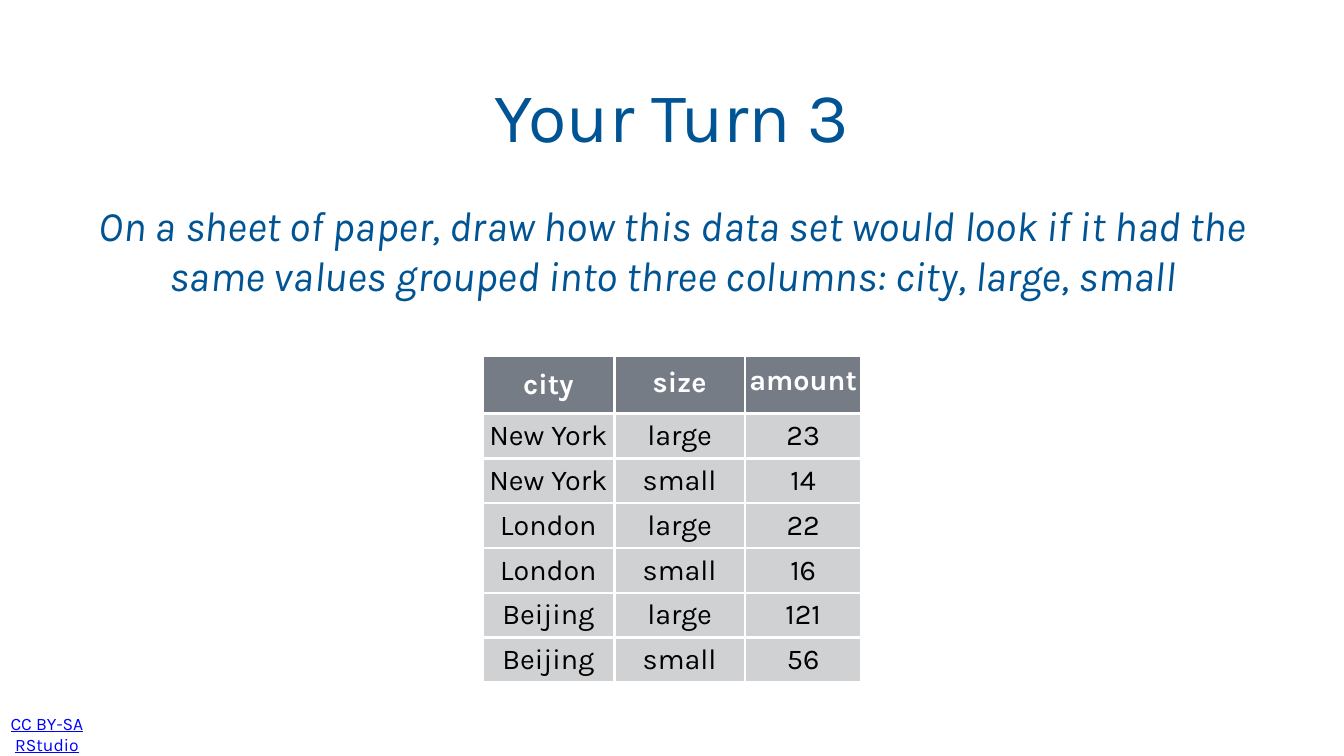
from dataclasses import dataclass

from lxml.etree import SubElement
from pptx import Presentation
from pptx.dml.color import RGBColor
from pptx.enum.text import MSO_ANCHOR, MSO_AUTO_SIZE, PP_ALIGN
from pptx.oxml.ns import qn
from pptx.util import Emu, Pt

EMU_PER_PX = 12700


def px(length):
    return Emu(length * EMU_PER_PX)


@dataclass(frozen=True)
class Theme:
    font: str = "Karla"
    blue: str = "005493"
    link: str = "0000FF"
    white: str = "FFFFFF"
    black: str = "000000"
    header: str = "767C85"
    body: str = "D0D1D2"
    title_size: int = 100
    prompt_size: int = 60
    table_size: int = 41
    licence_size: int = 25
    inset: int = 6
    cell_inset: int = 4
    border: int = 4


def set_attributes(target, values):
    for name, value in values.items():
        setattr(target, name, value)


class SlideBuilder:
    def __init__(self, slide, theme):
        self.slide = slide
        self.theme = theme

    def format_text(self, frame, text, size, color, line_spacing=1.0, **font_values):
        frame.text = text
        paragraph = frame.paragraphs[0]
        set_attributes(paragraph, {
            "alignment": PP_ALIGN.CENTER, "line_spacing": line_spacing})
        for run in paragraph.runs:
            set_attributes(run.font, {
                "name": self.theme.font, "size": Pt(size), **font_values})
            run.font.color.rgb = RGBColor.from_string(color)

    def format_frame(self, frame, anchor, wrap=True, top_inset=None):
        inset = px(self.theme.inset)
        set_attributes(frame, {
            "auto_size": MSO_AUTO_SIZE.NONE,
            "word_wrap": wrap,
            "vertical_anchor": anchor,
            "margin_left": inset,
            "margin_right": inset,
            "margin_top": inset if top_inset is None else px(top_inset),
            "margin_bottom": inset,
        })

    def title(self, text, left, top, width, height):
        shape = self.slide.shapes.title
        set_attributes(shape, {
            "left": px(left), "top": px(top),
            "width": px(width), "height": px(height)})
        self.format_frame(shape.text_frame, MSO_ANCHOR.MIDDLE)
        self.format_text(shape.text_frame, text, self.theme.title_size, self.theme.blue)

    def text_box(self, text, left, top, width, height, size, color,
                 anchor=MSO_ANCHOR.TOP, wrap=True, top_inset=None, **font_values):
        shape = self.slide.shapes.add_textbox(px(left), px(top), px(width), px(height))
        self.format_frame(shape.text_frame, anchor, wrap, top_inset)
        self.format_text(shape.text_frame, text, size, color, **font_values)

    def cell_borders(self, cell):
        properties = cell._tc.get_or_add_tcPr()
        for index, side in enumerate(("a:lnL", "a:lnR", "a:lnT", "a:lnB")):
            line = SubElement(properties, qn(side), w=str(px(self.theme.border)))
            fill = SubElement(line, qn("a:solidFill"))
            SubElement(fill, qn("a:srgbClr"), val=self.theme.white)
            properties.insert(index, line)

    def table(self, rows, left, top, column_widths, header_height, row_height,
              header_spacing):
        theme = self.theme
        heights = [header_height] + [row_height] * (len(rows) - 1)
        table = self.slide.shapes.add_table(
            len(rows), len(column_widths), px(left), px(top),
            px(sum(column_widths)), px(sum(heights))).table
        for column, width in zip(table.columns, column_widths):
            column.width = px(width)
        margins = ("margin_left", "margin_right", "margin_top", "margin_bottom")
        for row_index, values in enumerate(rows):
            table.rows[row_index].height = px(heights[row_index])
            is_header = row_index == 0
            for column_index, value in enumerate(values):
                cell = table.cell(row_index, column_index)
                set_attributes(cell, {
                    "vertical_anchor": MSO_ANCHOR.MIDDLE,
                    **dict.fromkeys(margins, px(theme.cell_inset))})
                cell.fill.solid()
                cell.fill.fore_color.rgb = RGBColor.from_string(
                    theme.header if is_header else theme.body)
                self.cell_borders(cell)
                self.format_text(
                    cell.text_frame, value, theme.table_size,
                    theme.white if is_header else theme.black,
                    header_spacing[column_index] if is_header else 1.0,
                    bold=is_header)


def main():
    theme = Theme()
    presentation = Presentation()
    set_attributes(presentation, {"slide_width": px(1920), "slide_height": px(1080)})
    slide = presentation.slides.add_slide(presentation.slide_layouts[5])
    builder = SlideBuilder(slide, theme)

    builder.text_box("CC BY-SA\vRStudio", 9, 1027, 116, 43,
                     theme.licence_size, theme.link,
                     anchor=MSO_ANCHOR.MIDDLE, wrap=False, underline=True)
    cities = ("New York", "London", "Beijing")
    amounts = (("23", "14"), ("22", "16"), ("121", "56"))
    rows = [("city", "size", "amount")] + [
        (city, size, amount)
        for city, pair in zip(cities, amounts)
        for size, amount in zip(("large", "small"), pair)]
    builder.table(rows, 689, 508, (189, 186, 167), 83, 64, (1.0, 0.8, 0.6))
    builder.title("Your Turn 3", 381, 28, 1158, 270)
    builder.text_box(
        "On a sheet of paper, draw how this data set would look if it had the "
        "same values grouped into three columns: city, large, small",
        114, 255, 1693, 197, theme.prompt_size, theme.blue,
        top_inset=30, italic=True)

    presentation.save("out.pptx")


if __name__ == "__main__":
    main()
